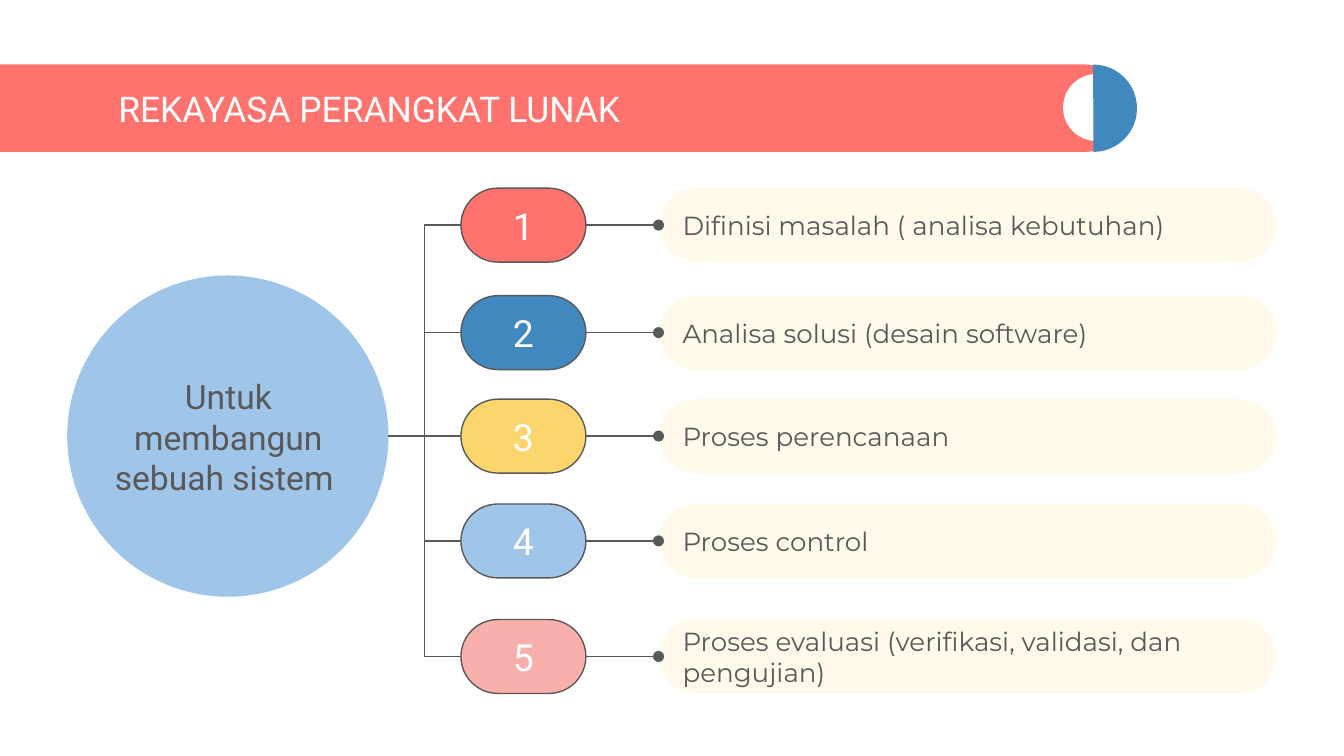
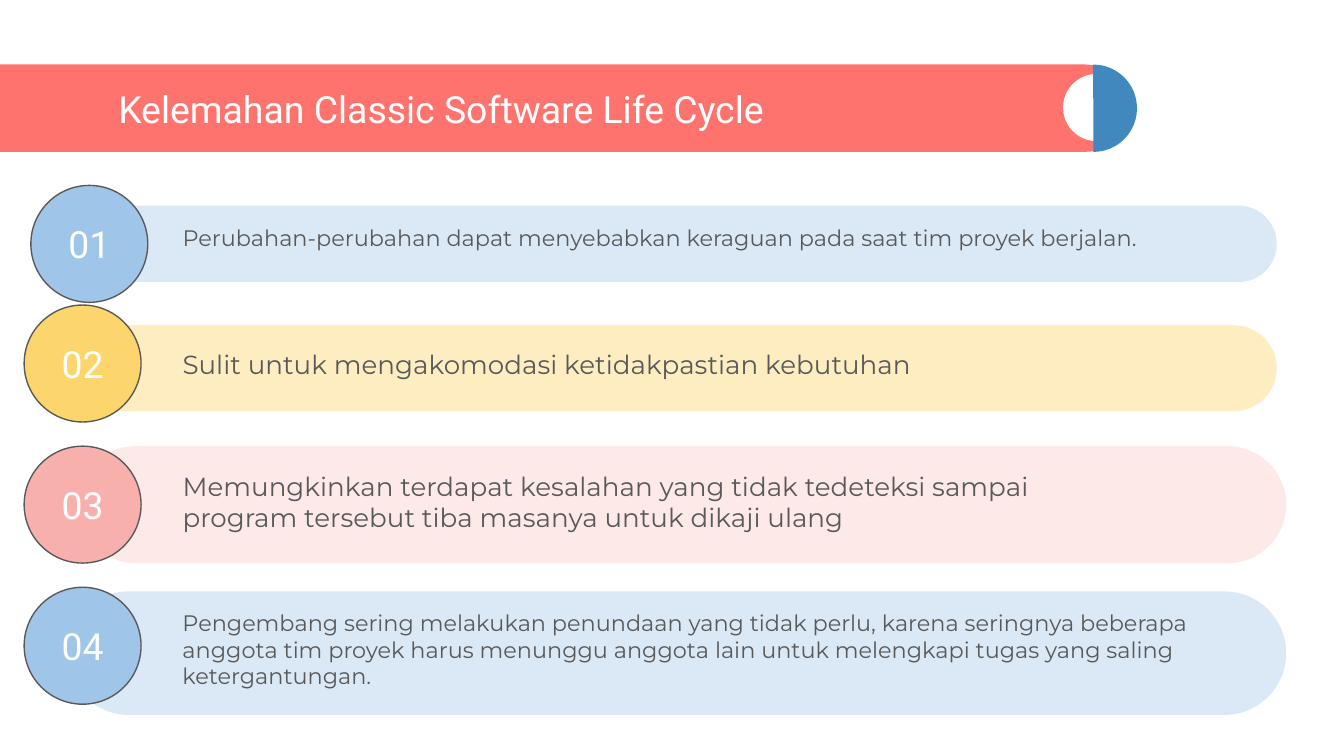
from dataclasses import dataclass

from lxml import etree
from pptx import Presentation
from pptx.dml.color import RGBColor
from pptx.enum.shapes import MSO_CONNECTOR, MSO_SHAPE
from pptx.enum.text import MSO_ANCHOR, MSO_AUTO_SIZE, PP_ALIGN
from pptx.oxml.ns import qn
from pptx.util import Inches, Pt

ROUND, OVAL, PIE = MSO_SHAPE.ROUNDED_RECTANGLE, MSO_SHAPE.OVAL, MSO_SHAPE.PIE
ELBOW = MSO_CONNECTOR.ELBOW
TOP, MIDDLE = MSO_ANCHOR.TOP, MSO_ANCHOR.MIDDLE
LEFT, CENTER = PP_ALIGN.LEFT, PP_ALIGN.CENTER


@dataclass(frozen=True)
class Theme:
    coral: str = "FF736E"
    blue: str = "4088BE"
    sky: str = "9FC5E8"
    yellow: str = "FCD66C"
    amber: str = "FBBE18"
    pink: str = "F8B0AD"
    cream: str = "FFFAEB"
    white: str = "FFFFFF"
    ink: str = "595959"
    heading_font: str = "Roboto"
    body_font: str = "Montserrat"
    title: int = 20
    title_caps: int = 19
    number: int = 20
    hub: int = 18
    body: int = 14
    small: int = 12
    line: float = 0.75
    inset: float = 0.1


T = Theme()


@dataclass(frozen=True)
class Box:
    x: float
    y: float
    w: float
    h: float

    @property
    def right(self) -> float:
        return self.x + self.w

    @property
    def mid(self) -> float:
        return self.y + self.h / 2

    def emu(self) -> tuple:
        return tuple(Inches(v) for v in (self.x, self.y, self.w, self.h))


@dataclass(frozen=True)
class Style:
    size: float
    font: str
    color: str
    align: PP_ALIGN = LEFT
    anchor: MSO_ANCHOR = MIDDLE
    after: int = 0


TITLE = Style(T.title, T.heading_font, T.white)
TITLE_CAPS = Style(T.title_caps, T.heading_font, T.white)
NUMBER = Style(T.number, T.heading_font, T.white, CENTER)
HUB = Style(T.hub, T.heading_font, T.ink, CENTER, TOP)
STEP = Style(T.body, T.body_font, T.ink)
NOTE = Style(T.body, T.body_font, T.ink, LEFT, TOP, 16)
NOTE_SMALL = Style(T.small, T.body_font, T.ink, LEFT, TOP, 16)


@dataclass(frozen=True)
class Step:
    top: float
    color: str
    text: str


@dataclass(frozen=True)
class Weakness:
    bar: Box
    tint: str
    alpha: int
    circle: tuple[float, float]
    color: str
    text_top: float
    text_width: float
    style: Style
    text: str


STEPS = [
    Step(1.4, T.coral, "Difinisi masalah ( analisa kebutuhan)"),
    Step(2.2, T.blue, "Analisa solusi (desain software)"),
    Step(2.97, T.yellow, "Proses perencanaan"),
    Step(3.75, T.sky, "Proses control"),
    Step(4.61, T.pink, "Proses evaluasi (verifikasi, validasi, dan pengujian)"),
]

WEAKNESSES = [
    Weakness(Box(0.5, 1.53, 9, 0.57), T.sky, 37, (0.23, 1.38), T.sky, 1.57, 8.51, NOTE_SMALL,
             "Perubahan-perubahan dapat menyebabkan keraguan pada saat tim proyek berjalan."),
    Weakness(Box(0.5, 2.42, 9, 0.64), T.amber, 27, (0.18, 2.27), T.yellow, 2.49, 7.38, NOTE,
             "Sulit untuk mengakomodasi ketidakpastian kebutuhan"),
    Weakness(Box(0.57, 3.32, 9, 0.87), T.pink, 27, (0.18, 3.32), T.pink, 3.4, 7.38, NOTE,
             "Memungkinkan terdapat kesalahan yang tidak tedeteksi sampai "
             "program tersebut tiba masanya untuk dikaji ulang"),
    Weakness(Box(0.5, 4.4, 9.07, 0.92), T.sky, 37, (0.18, 4.37), T.sky, 4.43, 8.24, NOTE_SMALL,
             "Pengembang sering melakukan penundaan yang tidak perlu, karena seringnya beberapa "
             "anggota tim proyek harus menunggu anggota lain untuk melengkapi tugas yang saling "
             "ketergantungan."),
]


def write(sp, text: str, style: Style) -> None:
    tf = sp.text_frame
    inset = Inches(T.inset)
    p = tf.paragraphs[0]
    r = p.add_run()
    r.text = text
    formats = [
        (tf, {"word_wrap": True, "auto_size": MSO_AUTO_SIZE.NONE, "vertical_anchor": style.anchor,
              "margin_left": inset, "margin_right": inset,
              "margin_top": inset, "margin_bottom": inset}),
        (p, {"alignment": style.align, "space_after": Pt(style.after)}),
        (r.font, {"size": Pt(style.size), "name": style.font}),
    ]
    for target, values in formats:
        for name, value in values.items():
            setattr(target, name, value)
    r.font.color.rgb = RGBColor.from_string(style.color)


def add_shape(s, kind: MSO_SHAPE, box: Box, fill: str, *, outlined: bool = False,
              alpha: int = 100, adj: tuple = (), rotation: int = 0):
    sp = s.shapes.add_shape(kind, *box.emu())
    sp.shadow.inherit = False
    sp.rotation = rotation
    sp.fill.solid()
    sp.fill.fore_color.rgb = RGBColor.from_string(fill)
    if alpha < 100:
        clr = sp.element.find(".//" + qn("a:srgbClr"))
        etree.SubElement(clr, qn("a:alpha"), val=str(alpha * 1000))
    if outlined:
        sp.line.color.rgb = RGBColor.from_string(T.ink)
        sp.line.width = Pt(T.line)
    else:
        sp.line.fill.background()
    for i, value in enumerate(adj):
        sp.adjustments[i] = value
    return sp


def add_pill(s, box: Box, fill: str, *, outlined: bool = False, alpha: int = 100):
    return add_shape(s, ROUND, box, fill, outlined=outlined, alpha=alpha, adj=(0.5,))


def add_text(s, box: Box, text: str, style: Style) -> None:
    write(s.shapes.add_textbox(*box.emu()), text, style)


def add_link(s, x1: float, y1: float, x2: float, y2: float, dot: bool = False) -> None:
    cx = s.shapes.add_connector(ELBOW, *(Inches(v) for v in (x1, y1, x2, y2)))
    cx.line.color.rgb = RGBColor.from_string(T.ink)
    cx.line.width = Pt(T.line)
    sp_pr = cx.element.spPr
    if dot:
        etree.SubElement(sp_pr.find(qn("a:ln")), qn("a:tailEnd"), type="oval")
    etree.SubElement(sp_pr, qn("a:effectLst"))


def add_band(s) -> None:
    band = [
        add_pill(s, Box(-0.32, 0.48, 8.72, 0.65), T.coral),
        add_shape(s, OVAL, Box(7.91, 0.55, 0.5, 0.5), T.white, rotation=180),
        add_shape(s, PIE, Box(7.81, 0.48, 0.65, 0.65), T.blue, adj=(53.67, 162), rotation=180),
    ]
    for sp in band:
        s.slide_layout.shapes.element.append(sp.element)


def add_slide(prs, title: str, style: Style):
    s = prs.slides.add_slide(prs.slide_layouts[5])
    sp = s.shapes.title
    sp.left, sp.top, sp.width, sp.height = Box(0.78, 0.6, 6.97, 0.41).emu()
    write(sp, title, style)
    return s


def build_steps(s) -> None:
    hub = Box(0.5, 2.05, 2.39, 2.39)
    add_shape(s, OVAL, hub, T.sky)
    add_text(s, Box(0.73, 2.7, 1.94, 1.05), "Untuk membangun sebuah sistem ", HUB)
    for i, step in enumerate(STEPS, 1):
        bar = Box(4.9, step.top, 4.6, 0.55)
        chip = Box(3.43, step.top, 0.93, 0.55)
        write(add_pill(s, bar, T.cream), step.text, STEP)
        write(add_pill(s, chip, step.color, outlined=True), str(i), NUMBER)
        add_link(s, hub.right, hub.mid, chip.x, chip.mid)
        add_link(s, chip.right, chip.mid, bar.x, bar.mid, dot=True)


def build_weaknesses(s) -> None:
    for i, item in enumerate(WEAKNESSES, 1):
        add_pill(s, item.bar, item.tint, alpha=item.alpha)
        circle = add_shape(s, OVAL, Box(*item.circle, 0.87, 0.87), item.color, outlined=True)
        write(circle, f"{i:02}", NUMBER)
        add_text(s, Box(1.26, item.text_top, item.text_width, 0.89), item.text, item.style)


def main() -> None:
    prs = Presentation()
    prs.slide_width = Inches(10)
    prs.slide_height = Inches(10) * 9 // 16
    s = add_slide(prs, "REKAYASA PERANGKAT LUNAK", TITLE_CAPS)
    add_band(s)
    build_steps(s)
    build_weaknesses(add_slide(prs, "Kelemahan Classic Software Life Cycle", TITLE))
    prs.save("out.pptx")


if __name__ == "__main__":
    main()
